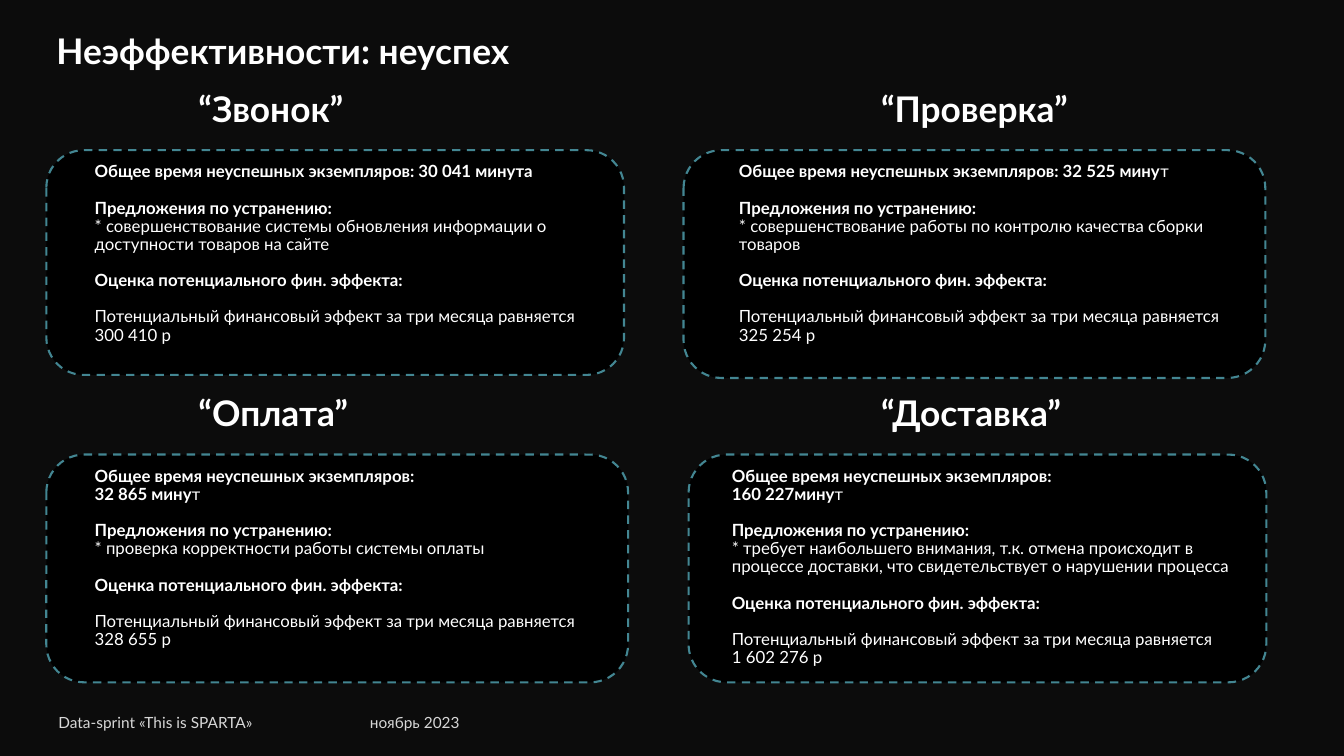
from dataclasses import dataclass

from pptx import Presentation
from pptx.dml.color import RGBColor
from pptx.enum.dml import MSO_LINE_DASH_STYLE as Dash
from pptx.enum.shapes import MSO_SHAPE as Shape
from pptx.enum.text import MSO_ANCHOR as Anchor, MSO_AUTO_SIZE as AutoSize, PP_ALIGN as Align
from pptx.util import Inches, Pt


@dataclass(frozen=True)
class Theme:
    background: str = "0C0C0C"
    panel: str = "000000"
    border: str = "438692"
    text: str = "FFFFFF"
    muted: str = "D8D8D8"
    font: str = "Lato"
    heading_size: float = 25.2
    body_size: float = 12
    footer_size: float = 11
    section_gap: float = 12.96  # one line of body text


@dataclass(frozen=True)
class Card:
    column: int
    row: int
    heading: str
    total: list  # lines, each a list of (text, bold) runs
    proposal: str
    effect: list  # lines of plain text
    panel_nudge: float = 0
    panel_size: tuple = (5.77, 2.26)
    text_nudge: float = 0
    text_size: tuple = (5.15, 2.56)


THEME = Theme()

# Grid: two columns, two rows with an equal step
PANEL_X, HEADING_X, BODY_X = (0.46, 6.78), (1.87, 8.64), (0.84, 7.23)
HEADING_Y, PANEL_Y, BODY_Y, ROW_STEP = 0.94, 1.49, 1.52, 3.02
HEADING_SIZE = (2.23, 0.32)

TOTAL = "Общее время неуспешных экземпляров:"
EFFECT = "Потенциальный финансовый эффект за три месяца равняется"

CARDS = [
    Card(0, 0, "“Звонок”", [[(f"{TOTAL} 30 041 минута", True)]],
         "* совершенствование системы обновления информации о доступности товаров на сайте",
         [f"{EFFECT} 300 410 р"], panel_size=(5.73, 2.23), text_size=(5.05, 2.23)),
    Card(1, 0, "“Проверка”", [[(f"{TOTAL} 32 525 мину", True), ("т", False)]],
         "* совершенствование работы по контролю качества сборки товаров",
         [EFFECT, "325 254 р"], text_size=(5.15, 2.1)),
    Card(0, 1, "“Оплата”", [[(TOTAL, True)], [("32 865 мину", True), ("т", False)]],
         "* проверка корректности работы системы оплаты",
         [EFFECT, "328 655 р"]),
    Card(1, 1, "“Доставка”", [[(TOTAL, True)], [("160 227мину", True), ("т", False)]],
         "* требует наибольшего внимания, т.к. отмена происходит в процессе доставки, "
         "что свидетельствует о нарушении процесса",
         [EFFECT, "1 602 276 р"], panel_nudge=0.05, panel_size=(5.73, 2.26),
         text_nudge=-0.07, text_size=(5.22, 2.56)),
]


def color(value):
    return RGBColor.from_string(value)


def write(box, paragraphs, *, size, fill=THEME.text, spacing=0.9,
          anchor=Anchor.TOP, inset=0.05):
    """Fill a box with (runs, space before) paragraphs; runs are (text, bold)."""
    frame = box.text_frame
    frame.word_wrap, frame.auto_size = True, AutoSize.NONE
    frame.vertical_anchor = anchor
    frame.margin_left = frame.margin_right = Inches(0.1)
    frame.margin_top = frame.margin_bottom = Inches(inset)
    for index, (runs, gap) in enumerate(paragraphs):
        paragraph = frame.add_paragraph() if index else frame.paragraphs[0]
        paragraph.alignment = Align.LEFT
        paragraph.line_spacing = spacing
        paragraph.space_before = Pt(gap)
        for text, bold in runs:
            run = paragraph.add_run()
            run.text = text
            run.font.name, run.font.size, run.font.bold = THEME.font, Pt(size), bold
            run.font.color.rgb = color(fill)


def text_box(slide, x, y, width, height):
    return slide.shapes.add_textbox(*map(Inches, (x, y, width, height)))


def write_heading(box, text):
    write(box, [([(text, True)], 0)], size=THEME.heading_size, anchor=Anchor.MIDDLE)


def add_title(slide, text):
    title = slide.shapes.title
    title.left, title.top, title.width, title.height = map(Inches, (0.46, 0.37, 7.79, 0.32))
    write_heading(title, text)


def add_panel(slide, x, y, width, height):
    panel = slide.shapes.add_shape(Shape.ROUNDED_RECTANGLE, *map(Inches, (x, y, width, height)))
    panel.shadow.inherit = False
    panel.fill.solid()
    panel.fill.fore_color.rgb = color(THEME.panel)
    panel.line.color.rgb = color(THEME.border)
    panel.line.width = Pt(1.5)
    panel.line.dash_style = Dash.DASH


def add_card(slide, card):
    drop = card.row * ROW_STEP
    add_panel(slide, PANEL_X[card.column] + card.panel_nudge, PANEL_Y + drop, *card.panel_size)
    heading = text_box(slide, HEADING_X[card.column], HEADING_Y + drop, *HEADING_SIZE)
    write_heading(heading, card.heading)

    # Total time, proposals, then the financial effect
    gap = THEME.section_gap
    paragraphs = [(runs, 0) for runs in card.total]
    paragraphs += [
        ([("Предложения по устранению:", True)], gap),
        ([(card.proposal, False)], 0),
        ([("Оценка потенциального фин. эффекта:", True)], gap),
    ]
    paragraphs += [([(line, False)], 0 if index else gap)
                   for index, line in enumerate(card.effect)]
    body = text_box(slide, BODY_X[card.column] + card.text_nudge, BODY_Y + drop, *card.text_size)
    write(body, paragraphs, size=THEME.body_size, inset=0.1)


def add_footer(slide, text, x, width, height):
    write(text_box(slide, x, 7.03, width, height), [([(text, False)], 0)],
          size=THEME.footer_size, fill=THEME.muted, spacing=1.0)


def main():
    deck = Presentation()
    deck.slide_width, deck.slide_height = Inches(13.33), Inches(7.5)
    slide = deck.slides.add_slide(deck.slide_layouts[5])
    slide.background.fill.solid()
    slide.background.fill.fore_color.rgb = color(THEME.background)

    add_footer(slide, "Data-sprint «This is SPARTA»", 0.48, 2.35, 0.47)
    add_footer(slide, "ноябрь 2023", 3.57, 1.13, 0.29)
    add_title(slide, "Неэффективности: неуспех")
    for card in CARDS:
        add_card(slide, card)
    deck.save("out.pptx")


if __name__ == "__main__":
    main()
